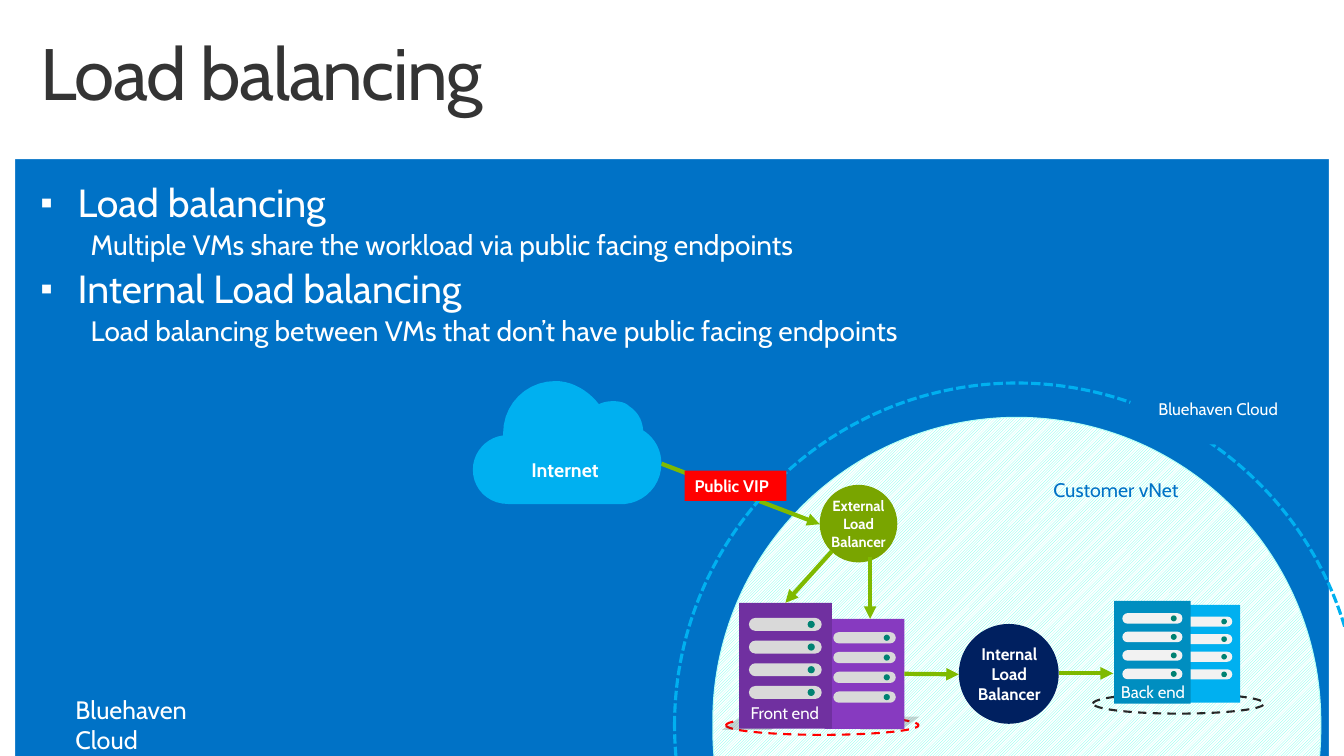
from lxml import etree
from pptx import Presentation, util as u
from pptx.dml.color import RGBColor
from pptx.enum import dml, shapes, text
from pptx.oxml import ns

FONT = "Cabin"
WHITE = RGBColor(0xFF, 0xFF, 0xFF)
BLUE = RGBColor(0x00, 0x72, 0xC6)
SKY = RGBColor(0x00, 0xB0, 0xF0)
TEAL_BLUE = RGBColor(0x00, 0x8E, 0xC0)
NAVY = RGBColor(0x00, 0x20, 0x60)
PURPLE = RGBColor(0x70, 0x30, 0xA0)
VIOLET = RGBColor(0x87, 0x3A, 0xC0)
LIME = RGBColor(0x7F, 0xBA, 0x00)
OLIVE = RGBColor(0x79, 0xA5, 0x00)
TEAL = RGBColor(0x00, 0x82, 0x72)
MINT = RGBColor(0x67, 0xFF, 0xEC)
PALE_MINT = RGBColor(0xB3, 0xFF, 0xF6)
RED = RGBColor(0xFF, 0x00, 0x00)
DARK = RGBColor(0x34, 0x34, 0x34)
BLACK = RGBColor(0x27, 0x27, 0x27)
SHADE = RGBColor(0x1A, 0x1A, 0x1A)
SILVER = RGBColor(0xD9, 0xD9, 0xD9)
PALE = RGBColor(0xF2, 0xF2, 0xF2)

# Content
TITLE = "Load balancing"
TOPICS = [
    ("Load balancing", "Multiple VMs share the workload via public facing endpoints"),
    ("Internal Load balancing",
     "Load balancing between VMs that don’t have public facing endpoints"),
]
FRAME = [(0, 0, 0.15, 7.5), (13.18, 0, 0.15, 7.5), (0, 0, 13.33, 1.58)]
RACKS = {  # box, rack colour, slot colour
    "back rear": ((11.58, 6, 0.72, 0.97), SKY, PALE),
    "back": ((11.05, 5.96, 0.76, 1.02), TEAL_BLUE, PALE),
    "front rear": ((8.18, 6.14, 0.79, 1.09), VIOLET, SILVER),
    "front": ((7.33, 5.98, 0.92, 1.25), PURPLE, SILVER),
}
BALANCERS = [  # circle box, colour, label, label box, size
    ((8.13, 4.81, 0.77, 0.77), OLIVE, "External Load Balancer",
     (8.11, 4.87, 0.81, 0.65), 10.5),
    ((9.51, 6.19, 0.99, 0.99), NAVY, "Internal Load Balancer",
     (9.49, 6.27, 1.04, 0.83), 12),
]
GROUND_RINGS = [((10.84, 6.88, 1.7, 0.2), BLACK), ((7.2, 7.1, 1.91, 0.19), RED)]
SHADOWS = [[(7.38, 7.09), (7.87, 7.09), (7.65, 7.24), (7.16, 7.24)],
           [(8.72, 7.11), (9.12, 7.11), (8.94, 7.24), (8.53, 7.24)]]
INTERNET_BOX = (4.69, 3.78, 1.87, 1.22)
PROVIDER_BOX = (11.19, 3.31, 1.72, 1.1)
# Cloud outline: start point, then Bezier segments, in a 1.87 x 1.22 box
CLOUD_START = (0.3, 0.54)
CLOUD_CURVES = [
    ((0.3, 0.53), (0.3, 0.52), (0.3, 0.52)),
    ((0.3, 0.23), (0.53, 0), (0.82, 0)),
    ((0.99, 0), (1.15, 0.1), (1.25, 0.23)),
    ((1.29, 0.21), (1.34, 0.2), (1.39, 0.2)),
    ((1.45, 0.2), (1.51, 0.21), (1.55, 0.25)),
    ((1.63, 0.3), (1.68, 0.38), (1.69, 0.49)),
    ((1.8, 0.56), (1.87, 0.68), (1.87, 0.82)),
    ((1.87, 1.03), (1.71, 1.2), (1.51, 1.22)),
    ((1.2, 1.22), (0.8, 1.22), (0.35, 1.22)),
    ((0.15, 1.22), (0, 1.07), (0, 0.88)),
    ((0, 0.71), (0.13, 0.56), (0.3, 0.54)),
]

deck = Presentation()
deck.slide_width, deck.slide_height = u.Inches(13.33), u.Inches(7.5)
page = deck.slides.add_slide(deck.slide_layouts[1])
page.background.fill.solid()
page.background.fill.fore_color.rgb = BLUE


def place(holder, box):
    holder.left, holder.top, holder.width, holder.height = map(u.Inches, box)
    holder.text_frame.auto_size = text.MSO_AUTO_SIZE.NONE
    holder.text_frame.vertical_anchor = text.MSO_ANCHOR.TOP


def write(para, words, size, color=WHITE, bold=False, align=text.PP_ALIGN.LEFT,
          spacing=None, before=0):
    span = para.add_run()
    span.text = words
    span.font.name, span.font.size, span.font.bold = FONT, u.Pt(size), bold
    span.font.color.rgb = color
    para.alignment, para.line_spacing = align, spacing
    para.space_before = u.Pt(before)
    return span


def label(box, words, size, wrap=True, anchor=text.MSO_ANCHOR.TOP, **style):
    frame = page.shapes.add_textbox(*map(u.Inches, box)).text_frame
    frame.word_wrap, frame.vertical_anchor = wrap, anchor
    write(frame.paragraphs[0], words, size, **style)
    return frame


def paint(shape, fill=None, line=None, weight=1.5, dash=None):
    shape.shadow.inherit = False
    if fill is None:
        shape.fill.background()
    else:
        shape.fill.solid()
        shape.fill.fore_color.rgb = fill
    if line is None:
        shape.line.fill.background()
    else:
        shape.line.color.rgb, shape.line.width = line, u.Pt(weight)
        shape.line.dash_style = dash
    return shape


def draw(kind, box, **style):
    return paint(page.shapes.add_shape(kind, *map(u.Inches, box)), **style)


def outline(points, fill):
    corners = [(u.Inches(x), u.Inches(y)) for x, y in points]
    builder = page.shapes.build_freeform(*corners[0])
    builder.add_line_segments(corners[1:], close=True)
    return paint(builder.convert_to_shape(), fill=fill)


def cloud(box, fill, steps=10):
    left, top, width, height = box
    points, start = [CLOUD_START], CLOUD_START
    for first, second, end in CLOUD_CURVES:
        for t in (step / steps for step in range(1, steps + 1)):
            s = 1 - t
            points.append(tuple(
                s**3 * a + 3 * s * s * t * b + 3 * s * t * t * c + t**3 * d
                for a, b, c, d in zip(start, first, second, end)))
        start = end
    return outline([(left + x * width / 1.87, top + y * height / 1.22)
                    for x, y in points[:-1]], fill)


def rack(box, fill, slot_fill):
    left, top, width, height = box
    case = draw(RECT, box, fill=fill)
    dot = 0.077 * width
    for row in range(4):
        slot_top, slot_height = top + (0.12 + 0.18 * row) * height, 0.103 * height
        slot = draw(ROUND, (left + 0.107 * width, slot_top, 0.785 * width, slot_height),
                    fill=slot_fill)
        slot.adjustments[0] = 0.5
        draw(OVAL, (left + 0.74 * width, slot_top + (slot_height - dot) / 2, dot, dot),
             fill=TEAL)
    return case


def arrow(start, end, source=None, target=None):
    """source is a rack left from its right side, target one entered at its top."""
    link = page.shapes.add_connector(shapes.MSO_CONNECTOR.STRAIGHT,
                                     *map(u.Inches, start + end))
    if source is not None:
        link.begin_connect(source, 3)
    if target is not None:
        link.end_connect(target, 0)
    link.line.color.rgb, link.line.width = LIME, u.Pt(3)
    etree.SubElement(link.line._get_or_add_ln(), ns.qn("a:tailEnd"), type="triangle")
    etree.SubElement(link._element.spPr, ns.qn("a:effectLst"))


def bullet(para, margin, indent, char=None):
    props = para._p.get_or_add_pPr()
    props.set("marL", str(u.Inches(margin)))
    props.set("indent", str(u.Inches(indent)))
    if char is None:
        etree.SubElement(props, ns.qn("a:buNone"))
        return
    color = etree.SubElement(props, ns.qn("a:buClr"))
    etree.SubElement(color, ns.qn("a:srgbClr"), val=str(WHITE))
    etree.SubElement(props, ns.qn("a:buSzPct"), val="90000")
    etree.SubElement(props, ns.qn("a:buFont"), typeface="Arial")
    etree.SubElement(props, ns.qn("a:buChar"), char=char)


RECT, OVAL = shapes.MSO_SHAPE.RECTANGLE, shapes.MSO_SHAPE.OVAL
ROUND = shapes.MSO_SHAPE.ROUNDED_RECTANGLE
CENTER, MIDDLE = text.PP_ALIGN.CENTER, text.MSO_ANCHOR.MIDDLE

# White frame, kept behind the placeholders
for strip in FRAME:
    page.shapes._spTree.insert(2, draw(RECT, strip, fill=WHITE)._element)

# Title and bullets
title, body = page.shapes.title, page.placeholders[1]
place(title, (0.3, 0.32, 10.8, 1.01))
span = write(title.text_frame.paragraphs[0], TITLE, 52, color=DARK, spacing=0.9)
span._r.get_or_add_rPr().set("spc", "-100")
place(body, (0.3, 1.77, 12.7, 5.23))
for number, (heading, detail) in enumerate(TOPICS):
    para = body.text_frame.add_paragraph() if number else body.text_frame.paragraphs[0]
    bullet(para, 0.37, -0.37, "▪")
    write(para, heading, 28, spacing=0.9, before=5.6 if number else 0)
    para = body.text_frame.add_paragraph()
    para.level = 1
    bullet(para, 0.5, 0)
    write(para, detail, 20, spacing=0.9, before=4)
label((0.65, 6.84, 1.96, 0.4), "Bluehaven Cloud", 18, wrap=False)

# Customer network
network = draw(ROUND, (7.07, 4.14, 6.03, 6.11), line=PALE_MINT, weight=0.75)
network.adjustments[0] = 0.5
network.fill.patterned()
network.fill.pattern = dml.MSO_PATTERN.LIGHT_UPWARD_DIAGONAL
network.fill.fore_color.rgb, network.fill.back_color.rgb = MINT, WHITE
label((10.35, 4.69, 1.5, 0.34), "Customer vNet", 14, wrap=False, color=BLUE)

# Server racks on their rings and shadows
for box, color in GROUND_RINGS:
    draw(OVAL, box, line=color, dash=dml.MSO_LINE.DASH)
for points in SHADOWS:
    shadow = outline(points, SHADE)
    tint = shadow._element.spPr.find(ns.qn("a:solidFill"))[0]
    etree.SubElement(tint, ns.qn("a:alpha"), val="19000")
cases = {name: rack(*parts) for name, parts in RACKS.items()}
label((10.94, 6.71, 0.99, 0.3), "Back end", 12, align=CENTER)
label((7.25, 6.92, 1.07, 0.3), "Front end", 12, align=CENTER)

# Load balancers
for box, color, words, label_box, size in BALANCERS:
    draw(OVAL, box, fill=color)
    label(label_box, words, size, anchor=MIDDLE, align=CENTER, bold=True)

# Traffic arrows
arrow((6.56, 4.6), (8.13, 5.2))
arrow((8.25, 5.47), (7.79, 5.98), target=cases["front"])
arrow((8.63, 5.53), (8.63, 6.14))
arrow((8.97, 6.69), (9.51, 6.69), source=cases["front rear"])
arrow((10.5, 6.68), (11.04, 6.68))

# Internet and provider boundary
cloud(INTERNET_BOX, SKY)
frame = label((4.78, 4.31, 1.55, 0.72), "Internet", 14, anchor=MIDDLE,
              align=CENTER, bold=True, spacing=0.9)
frame.margin_top = frame.margin_right = frame.margin_bottom = 0
draw(OVAL, (6.69, 3.8, 6.79, 6.79), line=SKY, weight=2.25, dash=dml.MSO_LINE.SQUARE_DOT)
cloud(PROVIDER_BOX, BLUE)
label((11.39, 3.91, 1.49, 0.3), "Bluehaven Cloud", 12)
address = draw(RECT, (6.79, 4.67, 1.01, 0.3), fill=RED).text_frame
address.vertical_anchor = text.MSO_ANCHOR.TOP
write(address.paragraphs[0], "Public VIP", 12, bold=True)

deck.save("out.pptx")
